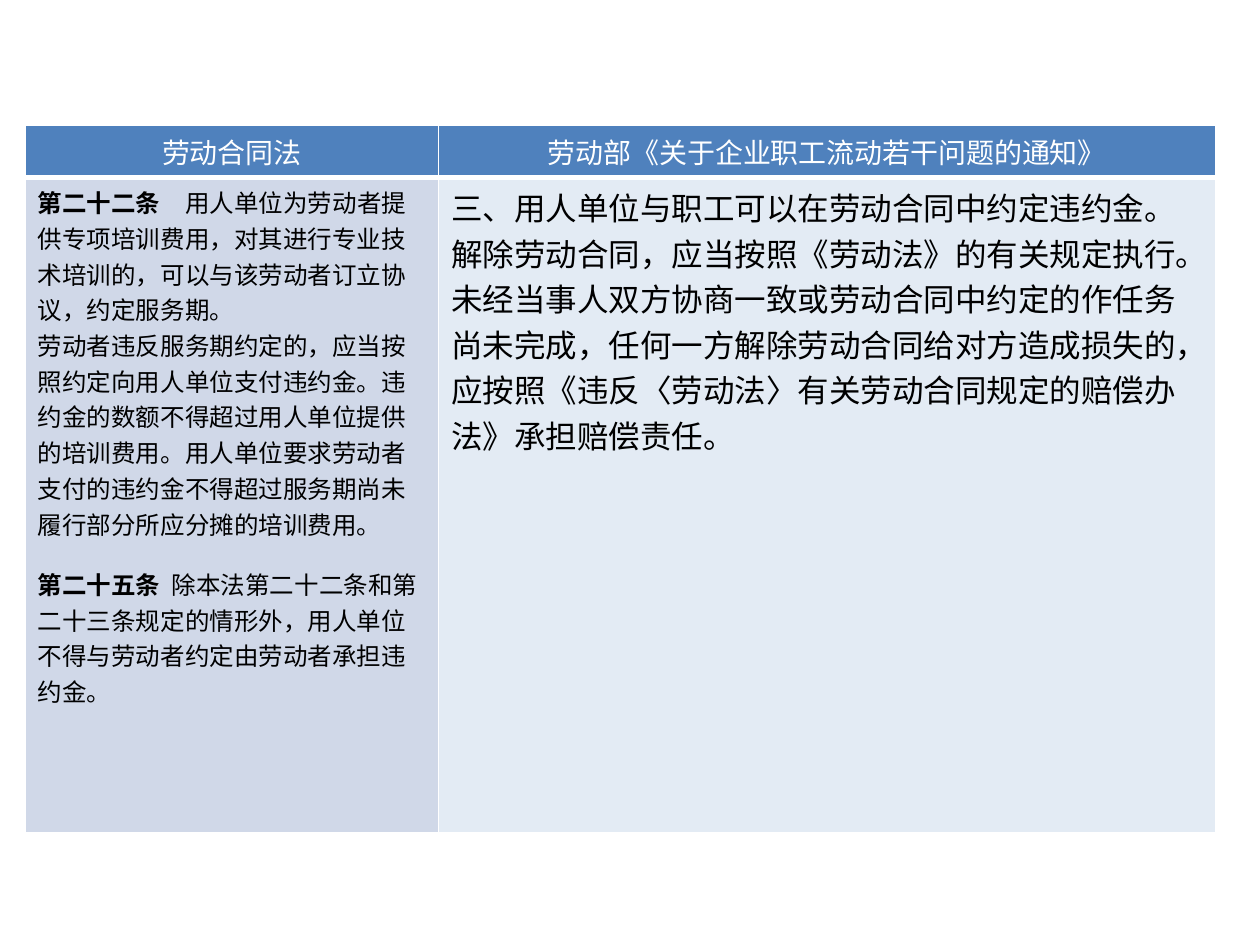
"""Build a slide comparing two labour-law provisions in a table."""
from lxml import etree
from pptx import Presentation
from pptx.dml.color import RGBColor
from pptx.enum.text import PP_ALIGN
from pptx.oxml.ns import qn
from pptx.util import Inches, Pt

CENTER, LEFT = PP_ALIGN.CENTER, PP_ALIGN.LEFT
WHITE = RGBColor(0xFF, 0xFF, 0xFF)
BLACK = RGBColor(0x00, 0x00, 0x00)
BLUE = RGBColor(0x4F, 0x81, 0xBD)
GREY_BLUE = RGBColor(0xD0, 0xD8, 0xE8)
PALE_BLUE = RGBColor(0xDC, 0xE6, 0xF2)
FONT = "Roboto"
ARTICLE_GAP = 14
BORDER_SIDES = ("a:lnL", "a:lnR", "a:lnT", "a:lnB")

LAW_TITLE = [[("劳动合同法", False)]]
NOTICE_TITLE = [[("劳动部《关于企业职工流动若干问题的通知》", False)]]
LAW_ARTICLES = [
    [("第二十二条", True),
     ("　用人单位为劳动者提供专项培训费用，对其进行专业技术培训的，可以与该劳动者订立协议，约定服务期。", False)],
    [("劳动者违反服务期约定的，应当按照约定向用人单位支付违约金。违约金的数额不得超过用人单位提供的培训费用。"
      "用人单位要求劳动者支付的违约金不得超过服务期尚未履行部分所应分摊的培训费用。", False)],
    [("第二十五条  ", True),
     ("除本法第二十二条和第二十三条规定的情形外，用人单位不得与劳动者约定由劳动者承担违约金。", False)],
]
NOTICE_TEXT = [
    [("三、用人单位与职工可以在劳动合同中约定违约金。解除劳动合同，应当按照《劳动法》的有关规定执行。"
      "未经当事人双方协商一致或劳动合同中约定的作任务尚未完成，任何一方解除劳动合同给对方造成损失的，"
      "应按照《违反〈劳动法〉有关劳动合同规定的赔偿办法》承担赔偿责任。", False)],
]

HEADER = {"size": 16, "color": WHITE, "align": CENTER, "fill": BLUE, "bottom": 3}
BODY = {"color": BLACK, "align": LEFT, "bottom": 1}
ROWS = [
    [(LAW_TITLE, HEADER), (NOTICE_TITLE, HEADER)],
    [(LAW_ARTICLES, {**BODY, "size": 14, "fill": GREY_BLUE}),
     (NOTICE_TEXT, {**BODY, "size": 18, "fill": PALE_BLUE, "alpha": 80})],
]
COLUMN_WIDTHS = (3.28, 6.17)
ROW_HEIGHTS = (0.37, 5.2)


def style_cell(cell, style):
    cell.fill.solid()
    cell.fill.fore_color.rgb = style["fill"]
    properties = cell._tc.get_or_add_tcPr()
    if "alpha" in style:
        color = properties.find(".//" + qn("a:srgbClr"))
        etree.SubElement(color, qn("a:alpha"), val=str(style["alpha"] * 1000))
    for position, side in enumerate(BORDER_SIDES):
        width = style["bottom"] if side == "a:lnB" else 1
        border = etree.Element(qn(side), w=str(Pt(width)))
        solid = etree.SubElement(border, qn("a:solidFill"))
        etree.SubElement(solid, qn("a:srgbClr"), val=str(WHITE))
        properties.insert(position, border)


def write_cell(cell, paragraphs, style):
    frame = cell.text_frame
    for index, pieces in enumerate(paragraphs):
        paragraph = frame.add_paragraph() if index else frame.paragraphs[0]
        paragraph.alignment = style["align"]
        if index and pieces[0][1]:
            paragraph.space_before = Pt(ARTICLE_GAP)
        for text, bold in pieces:
            run = paragraph.add_run()
            run.text = text
            run.font.color.rgb = style["color"]
            font_format = {"name": FONT, "size": Pt(style["size"]), "bold": bold}
            for attribute, value in font_format.items():
                setattr(run.font, attribute, value)


def main():
    deck = Presentation()
    deck.slide_width, deck.slide_height = Inches(10), Inches(7.5)
    slide = deck.slides.add_slide(deck.slide_layouts[6])
    comparison = slide.shapes.add_table(
        len(ROWS), len(COLUMN_WIDTHS), Inches(0.2), Inches(0.99),
        Inches(sum(COLUMN_WIDTHS)), Inches(sum(ROW_HEIGHTS))).table
    for column, width in zip(comparison.columns, COLUMN_WIDTHS):
        column.width = Inches(width)
    for row, height, contents in zip(comparison.rows, ROW_HEIGHTS, ROWS):
        row.height = Inches(height)
        for cell, (paragraphs, style) in zip(row.cells, contents):
            style_cell(cell, style)
            write_cell(cell, paragraphs, style)
    deck.save("out.pptx")


if __name__ == "__main__":
    main()
